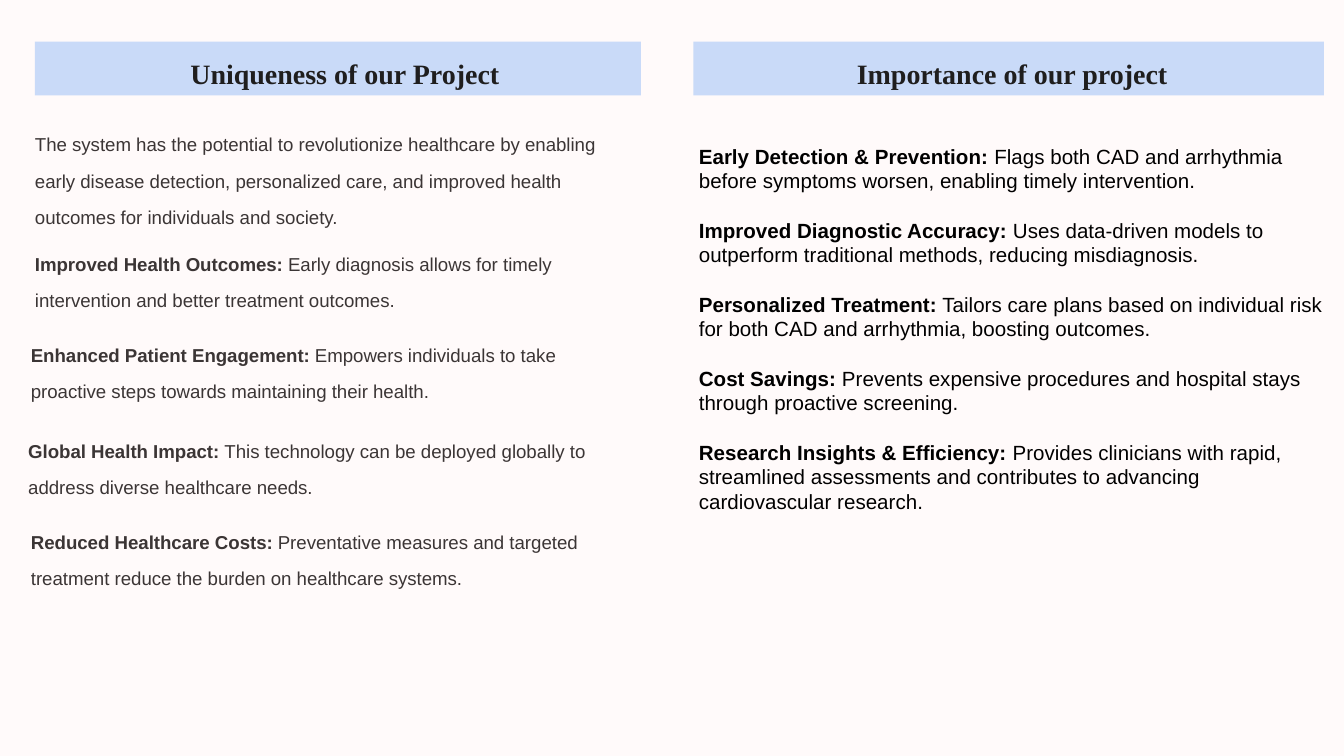
from pptx import Presentation
from pptx.dml.color import RGBColor
from pptx.enum.shapes import MSO_SHAPE
from pptx.enum.text import MSO_ANCHOR, PP_ALIGN
from pptx.util import Inches, Pt

SLIDE_WIDTH = 10
SLIDE_HEIGHT = SLIDE_WIDTH * 9 / 16
BACKGROUND, BAND = "FFFAFA", "C9DAF8"
HEADING_INK, UNIQUENESS_INK, IMPORTANCE_INK = "1F1E1E", "3B3535", "000000"

# Offset from the heading, width and height of each text, its bold lead and the rest
UNIQUENESS = [
    ((0, 0.58, 4.28, 0.65), "",
     "The system has the potential to revolutionize healthcare by enabling early disease "
     "detection, personalized care, and improved health outcomes for individuals and society."),
    ((0, 1.47, 4.05, 0.47), "Improved Health Outcomes:",
     " Early diagnosis allows for timely intervention and better treatment outcomes."),
    ((-0.03, 2.15, 4.14, 0.54), "Enhanced Patient Engagement: ",
     "Empowers individuals to take proactive steps towards maintaining their health."),
    ((-0.05, 2.86, 4.39, 0.47), "Global Health Impact: ",
     "This technology can be deployed globally to address diverse healthcare needs."),
    ((-0.03, 3.54, 4.39, 0.47), "Reduced Healthcare Costs: ",
     "Preventative measures and targeted treatment reduce the burden on healthcare systems."),
]
IMPORTANCE = [
    ("Early Detection & Prevention:",
     " Flags both CAD and arrhythmia before symptoms worsen, enabling timely intervention."),
    ("Improved Diagnostic Accuracy:",
     " Uses data-driven models to outperform traditional methods, reducing misdiagnosis."),
    ("Personalized Treatment:",
     " Tailors care plans based on individual risk for both CAD and arrhythmia, "
     "boosting outcomes."),
    ("Cost Savings:",
     " Prevents expensive procedures and hospital stays through proactive screening."),
    ("Research Insights & Efficiency:",
     " Provides clinicians with rapid, streamlined assessments and contributes to advancing "
     "cardiovascular research."),
]


def rgb(color):
    return RGBColor.from_string(color)


def style(font, name, size, color, bold=False):
    font.name, font.size, font.bold = name, Pt(size), bold
    font.color.rgb = rgb(color)


def clear_margins(frame):
    frame.word_wrap = True
    frame.margin_left = frame.margin_top = frame.margin_right = frame.margin_bottom = 0


def add_heading(slide, box, title):
    band = slide.shapes.add_shape(MSO_SHAPE.RECTANGLE, *map(Inches, box))
    band.shadow.inherit = False
    band.fill.solid()
    band.fill.fore_color.rgb = rgb(BAND)
    band.line.fill.background()
    frame = band.text_frame
    clear_margins(frame)
    frame.vertical_anchor = MSO_ANCHOR.MIDDLE
    heading = frame.paragraphs[0]
    heading.text = title
    heading.alignment = PP_ALIGN.CENTER
    heading.line_spacing = 1.26
    style(heading.runs[0].font, "Times New Roman", 15, HEADING_INK, True)


def add_points(slide, box, points, size, color, line_spacing=None, gap=0):
    """Write (bold lead, rest) points as paragraphs, gap points apart."""
    frame = slide.shapes.add_textbox(*map(Inches, box)).text_frame
    clear_margins(frame)
    for index, (lead, rest) in enumerate(points):
        point = frame.add_paragraph() if index else frame.paragraphs[0]
        point.line_spacing = line_spacing
        if index:
            point.space_before = Pt(gap)
        for wording, bold in ((lead, True), (rest, False)):
            if wording:
                run = point.add_run()
                run.text = wording
                style(run.font, "Arial", size, color, bold)


def add_uniqueness(slide, left, top):
    add_heading(slide, (left, top, 4.51, 0.4), "  Uniqueness of our Project")
    for (x, y, width, height), lead, rest in UNIQUENESS:
        add_points(slide, (left + x, top + y, width, height), [(lead, rest)],
                   10, UNIQUENESS_INK, line_spacing=1.61)


def add_importance(slide, left, top):
    add_heading(slide, (left, top, 4.69, 0.4), " Importance of our project")
    add_points(slide, (left + 0.04, top + 0.76, 4.71, 4.56), IMPORTANCE,
               11, IMPORTANCE_INK, gap=13.2)


def main():
    deck = Presentation()
    deck.slide_width, deck.slide_height = Inches(SLIDE_WIDTH), Inches(SLIDE_HEIGHT)
    slide = deck.slides.add_slide(deck.slide_layouts[6])
    slide.background.fill.solid()
    slide.background.fill.fore_color.rgb = rgb(BACKGROUND)
    add_uniqueness(slide, 0.26, 0.31)
    add_importance(slide, 5.16, 0.31)
    deck.save("out.pptx")


if __name__ == "__main__":
    main()
